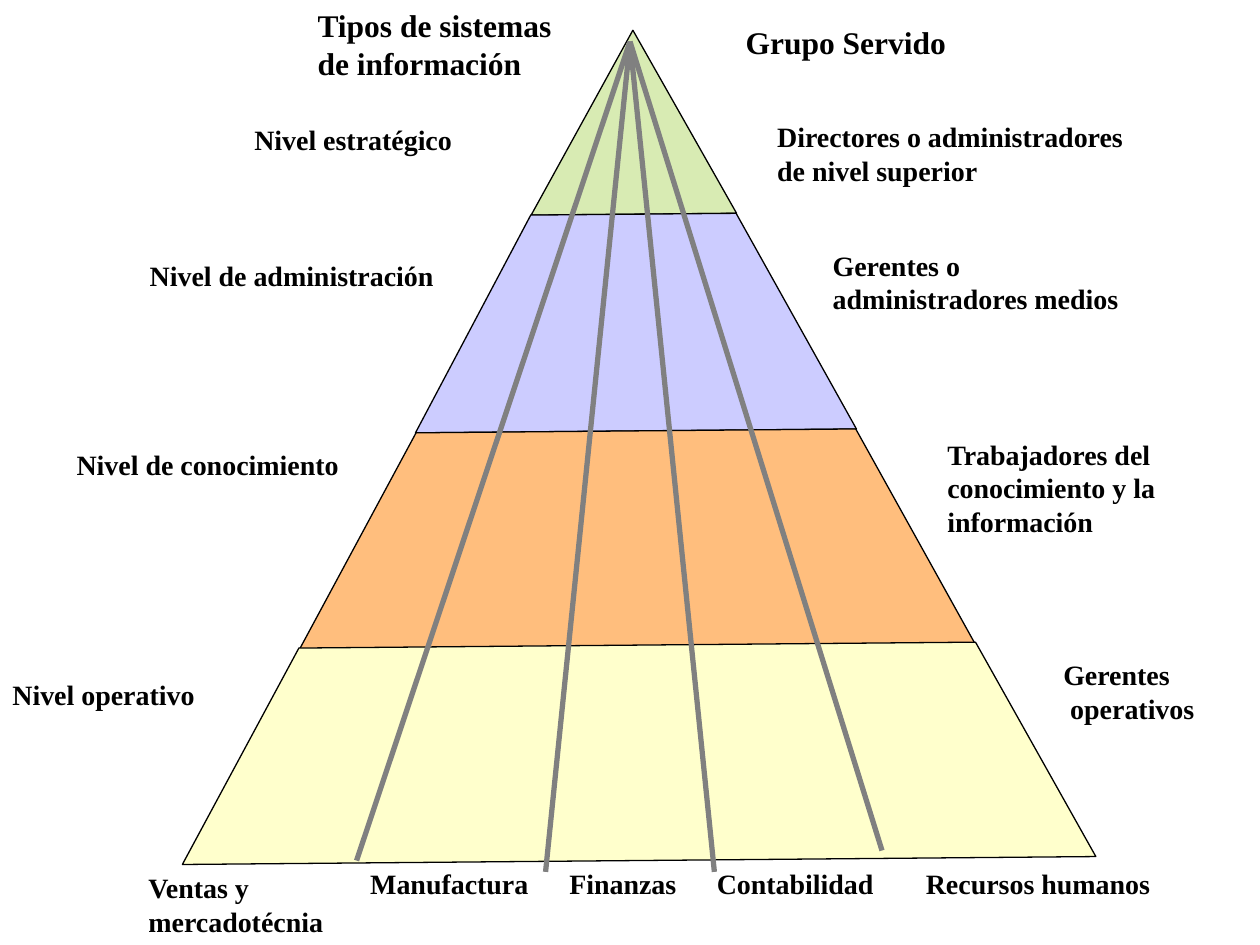
"""Build the pyramid of information system levels, the groups served and the business areas."""
from dataclasses import dataclass

from lxml.etree import SubElement
from pptx import Presentation
from pptx.dml.color import RGBColor
from pptx.enum.text import MSO_ANCHOR, MSO_AUTO_SIZE, PP_ALIGN
from pptx.oxml.ns import qn
from pptx.util import Inches, Pt


@dataclass(frozen=True)
class Theme:
    font: str = "Times New Roman"
    ink: RGBColor = RGBColor(0x00, 0x00, 0x00)
    ray: RGBColor = RGBColor(0x80, 0x80, 0x80)
    top: RGBColor = RGBColor(0xD8, 0xEB, 0xB3)
    admin: RGBColor = RGBColor(0xCC, 0xCC, 0xFF)
    know: RGBColor = RGBColor(0xFF, 0xBE, 0x7D)
    base: RGBColor = RGBColor(0xFF, 0xFF, 0xCC)
    head: Pt = Pt(18)
    body: Pt = Pt(16)
    edge: Pt = Pt(0.75)
    thick: Pt = Pt(3)


theme = Theme()


def write(box, spot, lines, size, wrap=False):
    box.left, box.top, box.width, box.height = (Inches(n) for n in spot)
    frame = box.text_frame
    frame.word_wrap = wrap
    frame.auto_size = MSO_AUTO_SIZE.SHAPE_TO_FIT_TEXT
    frame.vertical_anchor = MSO_ANCHOR.TOP
    for num, line in enumerate(lines):
        para = frame.add_paragraph() if num else frame.paragraphs[0]
        para.alignment = PP_ALIGN.LEFT
        run = para.add_run()
        run.text = line
        run.font.name = theme.font
        run.font.size = size
        run.font.bold = True
        run.font.color.rgb = theme.ink


deck = Presentation()
deck.slide_width, deck.slide_height = Inches(10), Inches(7.5)
slide = deck.slides.add_slide(deck.slide_layouts[5])
shapes = slide.shapes

write(shapes.title, (2.42, 0, 2.1, 0.7), ["Tipos de sistemas", "de información"], theme.head)

bands = [
    (theme.top, 0.24, 1.7, [5.03], (4.21, 5.84)),
    (theme.admin, 1.7, 3.42, (4.22, 5.85), (3.29, 6.79)),
    (theme.know, 3.42, 5.13, (3.31, 6.8), (2.37, 7.73)),
    (theme.base, 5.12, 6.83, (2.38, 7.75), (1.44, 8.69)),
]
group = shapes.add_group_shape()
for fill, top, foot, upper, lower in bands:
    points = [(Inches(x), Inches(top)) for x in upper]
    points += [(Inches(x), Inches(foot)) for x in reversed(lower)]
    pen = group.shapes.build_freeform(*points[0])
    pen.add_line_segments(points[1:], close=True)
    band = pen.convert_to_shape()
    band.rotation = 359.5
    band.shadow.inherit = False
    band.fill.solid()
    band.fill.fore_color.rgb = fill
    band.line.color.rgb = theme.ink
    band.line.width = theme.edge

for x, y in [(2.83, 6.83), (4.33, 6.92), (5.67, 6.92), (7, 6.75)]:
    ray = shapes.add_connector(1, Inches(x), Inches(y), Inches(5), Inches(0.33))
    ray.line.color.rgb = theme.ray
    ray.line.width = theme.thick
    SubElement(ray._element.spPr, qn("a:effectLst"))

heading = shapes.add_textbox(0, 0, 0, 0)
write(heading, (5.82, 0.13, 1.84, 0.4), ["Grupo Servido"], theme.head)

labels = [
    (1.92, 0.92, 1.82, ["Nivel estratégico"]),
    (1.09, 2, 2.5, ["Nivel de administración"]),
    (0.51, 3.5, 2.33, ["Nivel de conocimiento"]),
    (0, 5.33, 1.69, ["Nivel operativo"]),
    (6.07, 0.9, 3.06, ["Directores o administradores", "de nivel superior"]),
    (6.51, 1.92, 2.52, ["Gerentes o", "administradores medios"]),
    (7.42, 3.42, 1.93, ["Trabajadores del", "conocimiento y la", "información"]),
    (8.34, 5.17, 1.29, ["Gerentes", " operativos"]),
    (2.84, 6.83, 1.5, ["Manufactura"]),
    (4.42, 6.83, 1.1, ["Finanzas"]),
    (5.59, 6.83, 1.49, ["Contabilidad"]),
    (7.25, 6.83, 2.03, ["Recursos humanos"]),
]
for x, y, width, lines in labels:
    label = shapes.add_textbox(0, 0, 0, 0)
    write(label, (x, y, width, 0.1 + 0.27 * len(lines)), lines, theme.body)

sales = shapes.add_textbox(0, 0, 0, 0)
write(sales, (1.08, 6.86, 1.6, 0.64), ["Ventas y", "mercadotécnia"], theme.body, wrap=True)

deck.save("out.pptx")
